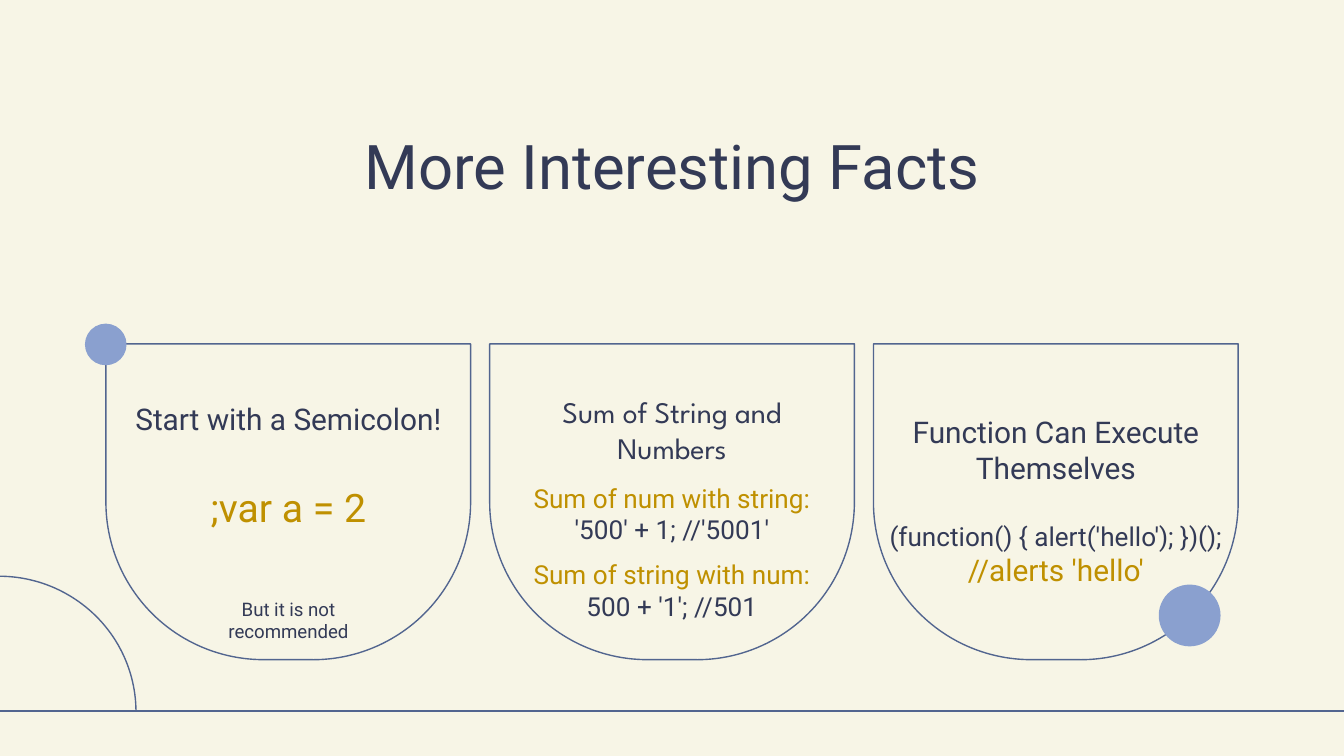
from dataclasses import dataclass

from lxml import etree
from pptx import Presentation
from pptx.dml.color import RGBColor
from pptx.enum.shapes import MSO_CONNECTOR, MSO_SHAPE
from pptx.enum.text import MSO_ANCHOR, PP_ALIGN
from pptx.oxml.ns import qn
from pptx.util import Pt

ARC = MSO_SHAPE.ARC
CARD = MSO_SHAPE.ROUND_2_SAME_RECTANGLE
DOT = MSO_SHAPE.OVAL
STRAIGHT = MSO_CONNECTOR.STRAIGHT
TOP = MSO_ANCHOR.TOP
MIDDLE = MSO_ANCHOR.MIDDLE
CENTER = PP_ALIGN.CENTER


@dataclass(frozen=True)
class Theme:
    """Colours, fonts and type sizes of the deck."""
    paper: RGBColor = RGBColor.from_string("F7F5E6")
    outline: RGBColor = RGBColor.from_string("52658F")
    dot: RGBColor = RGBColor.from_string("8AA0CF")
    ink: RGBColor = RGBColor.from_string("333A56")
    gold: RGBColor = RGBColor.from_string("BF9000")
    body_font: str = "Roboto"
    accent_font: str = "League Spartan"
    title: float = 33
    code: float = 21
    heading: float = 16
    detail: float = 14
    note: float = 10
    stroke: float = 0.75
    inset: float = 7.2


THEME = Theme()


def add_outline(page, kind, box):
    """Add an unfilled outlined shape."""
    shape = page.shapes.add_shape(kind, *map(Pt, box))
    shape.shadow.inherit = False
    shape.fill.background()
    shape.line.color.rgb = THEME.outline
    shape.line.width = Pt(THEME.stroke)
    return shape


def add_dot(page, left, top, size):
    """Add a filled circle."""
    dot = page.shapes.add_shape(DOT, Pt(left), Pt(top), Pt(size), Pt(size))
    dot.shadow.inherit = False
    dot.fill.solid()
    dot.fill.fore_color.rgb = THEME.dot
    dot.line.fill.background()


def add_text(page, box, paras, anchor=MIDDLE, font=THEME.body_font, extra_bottom=0):
    """Add centred text from (space before, [(text, size, colour)]) paragraphs."""
    frame = page.shapes.add_textbox(*map(Pt, box)).text_frame
    frame.word_wrap = True
    frame.vertical_anchor = anchor
    frame.margin_left = frame.margin_right = frame.margin_top = Pt(THEME.inset)
    frame.margin_bottom = Pt(THEME.inset + extra_bottom)
    for index, (gap, spans) in enumerate(paras):
        para = frame.add_paragraph() if index else frame.paragraphs[0]
        para.alignment = CENTER
        para.space_before = Pt(gap)
        for text, size, color in spans:
            span = para.add_run()
            span.text = text
            span.font.name = font
            span.font.size = Pt(size)
            span.font.color.rgb = color


def add_backdrop(page, width, height):
    """Draw the background, the corner arc and the ground line."""
    page.background.fill.solid()
    page.background.fill.fore_color.rgb = THEME.paper
    ground = height - 24
    add_outline(page, ARC, (-74, ground - 72.3, 146.9, 145.4))
    line = page.shapes.add_connector(STRAIGHT, Pt(-1), Pt(ground), Pt(width + 4), Pt(ground))
    line.line.color.rgb = THEME.outline
    line.line.width = Pt(THEME.stroke)
    etree.SubElement(line._element.spPr, qn("a:effectLst"))


def add_card(page, box):
    """Draw a card outline with a round bottom."""
    card = add_outline(page, CARD, box)
    card.rotation = 180
    card.adjustments[0] = 0.499
    card.adjustments[1] = 0


def add_semicolon_fact(page, box):
    """Fill the card about starting with a semicolon."""
    left, top, width, height = box
    add_card(page, box)
    add_dot(page, left - 11.2, top - 10.8, 22.3)
    add_text(page, (left - 10.7, top + 21.6, width + 21.6, height + 2.9), [
        (0, [("Start with a Semicolon!", THEME.heading, THEME.ink)]),
        (24.6, [(";var a = 2", THEME.code, THEME.gold)]),
        (36.3, [("But it is not", THEME.note, THEME.ink)]),
        (0, [("recommended", THEME.note, THEME.ink)]),
    ], extra_bottom=24.6)


def add_sum_fact(page, box):
    """Fill the card about sums of strings and numbers."""
    left, top, width, height = box
    add_card(page, box)
    add_text(page, (left + 15, top + 14.4, width - 30, 63.4), [
        (0, [("Sum of String and Numbers", THEME.heading, THEME.ink)]),
    ], font=THEME.accent_font)
    examples = (
        ("Sum of num with string:", "'500' + 1; //'5001'"),
        ("Sum of string with num:", "500 + '1'; //501"),
    )
    for index, (label, code) in enumerate(examples):
        add_text(page, (left - 3.8, top + 67 + index * 41, width + 7.6, 48.2), [
            (0, [(label, THEME.detail, THEME.gold)]),
            (0, [(code, THEME.detail, THEME.ink)]),
        ], TOP)


def add_function_fact(page, box):
    """Fill the card about functions that execute themselves."""
    left, top, width, height = box
    add_card(page, box)
    add_dot(page, left + 152.9, top + 129, 33.1)
    add_text(page, (left - 24.4, top + 29.5, width + 49, 109.4), [
        (0, [("Function Can Execute Themselves", THEME.heading, THEME.ink)]),
        (18.75, [
            ("(function() { alert('hello'); })(); ", THEME.detail, THEME.ink),
            ("//alerts 'hello'", THEME.heading, THEME.gold),
        ]),
    ])


def main():
    """Build the slide and save the deck."""
    width, height = 720, 405
    deck = Presentation()
    deck.slide_width, deck.slide_height = Pt(width), Pt(height)
    page = deck.slides.add_slide(deck.slide_layouts[6])
    add_backdrop(page, width, height)
    add_text(page, (56.7, 67, 606.6, 42.5), [
        (0, [("More Interesting Facts", THEME.title, THEME.ink)]),
    ])
    for index, add_fact in enumerate((add_semicolon_fact, add_sum_fact, add_function_fact)):
        add_fact(page, (56.7 + index * 205.6, 184.2, 195.4, 169.2))
    deck.save("out.pptx")


if __name__ == "__main__":
    main()
